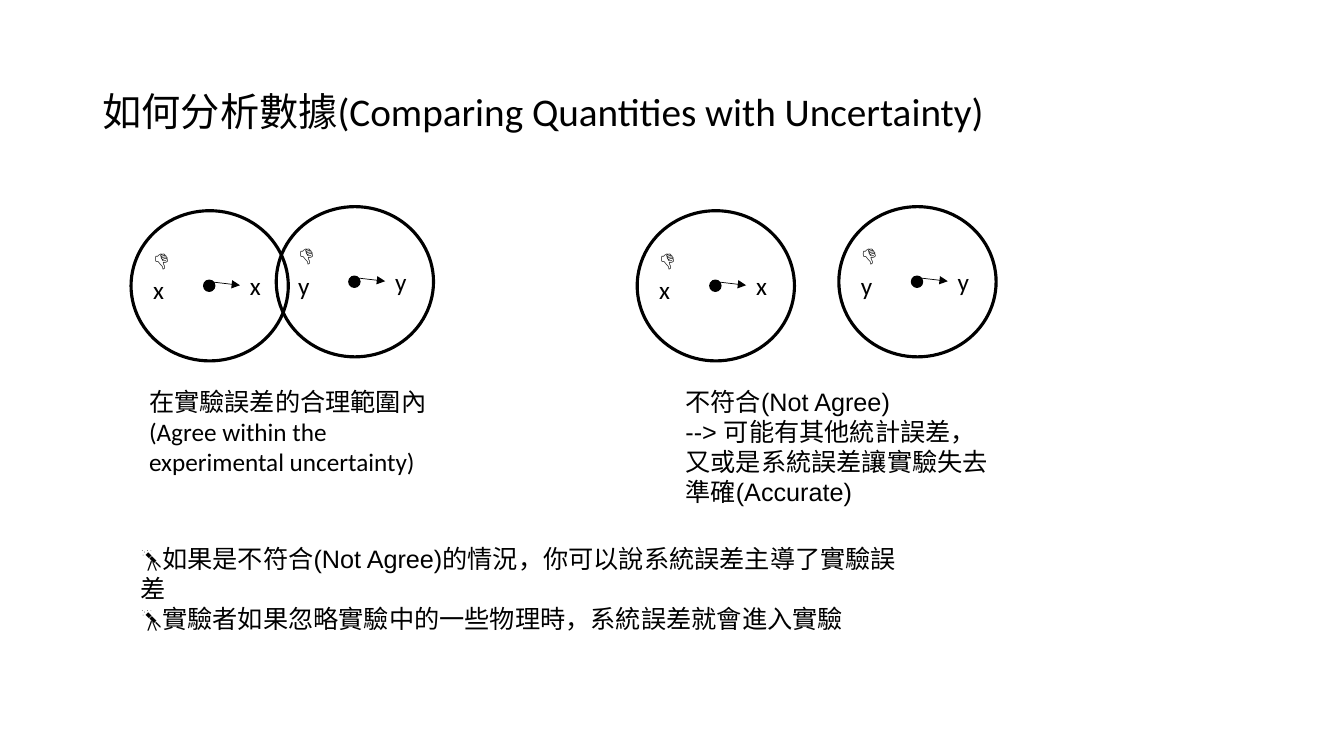
from lxml import etree
from pptx import Presentation
from pptx.dml.color import RGBColor
from pptx.enum import shapes, text
from pptx.oxml.ns import qn
from pptx.util import Inches, Pt

BLACK = "000000"


def color(value):
    return RGBColor.from_string(value)


def add_text(s, x, y, w, h, paras, size=18, wrap=True,
             anchor=text.MSO_ANCHOR.TOP, spacing=1.0):
    """Each paragraph is a list of (wording, font name) runs."""
    tf = s.shapes.add_textbox(Inches(x), Inches(y), Inches(w), Inches(h)).text_frame
    tf.word_wrap = wrap
    tf.vertical_anchor = anchor
    for i, runs in enumerate(paras):
        p = tf.paragraphs[0] if i == 0 else tf.add_paragraph()
        p.line_spacing = spacing
        for wording, font in runs:
            r = p.add_run()
            r.text = wording
            r.font.name = font
            r.font.size = Pt(size)
            r.font.color.rgb = color(BLACK)


def add_ellipse(s, x, y, w, h, line_width, fill=None):
    sp = s.shapes.add_shape(shapes.MSO_SHAPE.OVAL,
                            Inches(x), Inches(y), Inches(w), Inches(h))
    sp.shadow.inherit = False
    if fill:
        sp.fill.solid()
        sp.fill.fore_color.rgb = color(fill)
    else:
        sp.fill.background()
    sp.line.color.rgb = color(BLACK)
    sp.line.width = Pt(line_width)


def add_arrow(s, x1, y1, x2, y2):
    cx = s.shapes.add_connector(shapes.MSO_CONNECTOR.STRAIGHT,
                                Inches(x1), Inches(y1), Inches(x2), Inches(y2))
    cx.line.color.rgb = color(BLACK)
    cx.line.width = Pt(0.5)
    etree.SubElement(cx.line._get_or_add_ln(), qn("a:tailEnd"), type="triangle")
    etree.SubElement(cx._element.spPr, qn("a:effectLst"))


def add_quantity(s, x, y, name):
    """Uncertainty circle with its centre point, arrow and two labels."""
    add_ellipse(s, x, y, 1.56, 1.49, 2.25)
    add_ellipse(s, x + 0.72, y + 0.69, 0.11, 0.11, 1, BLACK)
    add_text(s, x + 1.08, y + 0.54, 0.31, 0.4, [[(name, "Calibri")]], wrap=False)
    add_text(s, x + 0.12, y + 0.28, 0.47, 0.4, [[("👎" + name, "Calibri")]])
    add_arrow(s, x + 0.74, y + 0.7, x + 1.08, y + 0.74)


def main():
    prs = Presentation()
    prs.slide_width, prs.slide_height = Inches(13.33), Inches(7.5)
    s = prs.slides.add_slide(prs.slide_layouts[6])

    add_text(s, 0.92, 0.4, 11.5, 1.45,
             [[("如何分析數據(Comparing Quantities with Uncertainty)", "Calibri")]],
             size=28, anchor=text.MSO_ANCHOR.MIDDLE, spacing=0.9)

    for x_left, y_left in ((1.3, 2.74), (6.32, 8.32)):
        add_quantity(s, x_left, 2.09, "x")
        add_quantity(s, y_left, 2.05, "y")

    add_text(s, 1.38, 3.78, 3.31, 1.01, [
        [("在實驗誤差的合理範圍內(Agree within the experimental uncertainty)", "Calibri")]])
    add_text(s, 6.7, 3.78, 3.31, 1.31, [
        [("不符合(Not Agree)", "Arial")],
        [("--> 可能有其他統計誤差，又或是系統誤差讓實驗失去準確(Accurate)", "Arial")]])
    add_text(s, 1.3, 5.34, 7.93, 1.01, [
        [("🔭如果是", "Calibri"), ("不符合(Not Agree)", "Arial"),
         ("的情況，你可以說系統誤差主導了實驗誤差", "Calibri")],
        [("🔭實驗者如果忽略實驗中的一些物理時，系統誤差就會進入實驗", "Calibri")]])

    prs.save("out.pptx")


if __name__ == "__main__":
    main()
